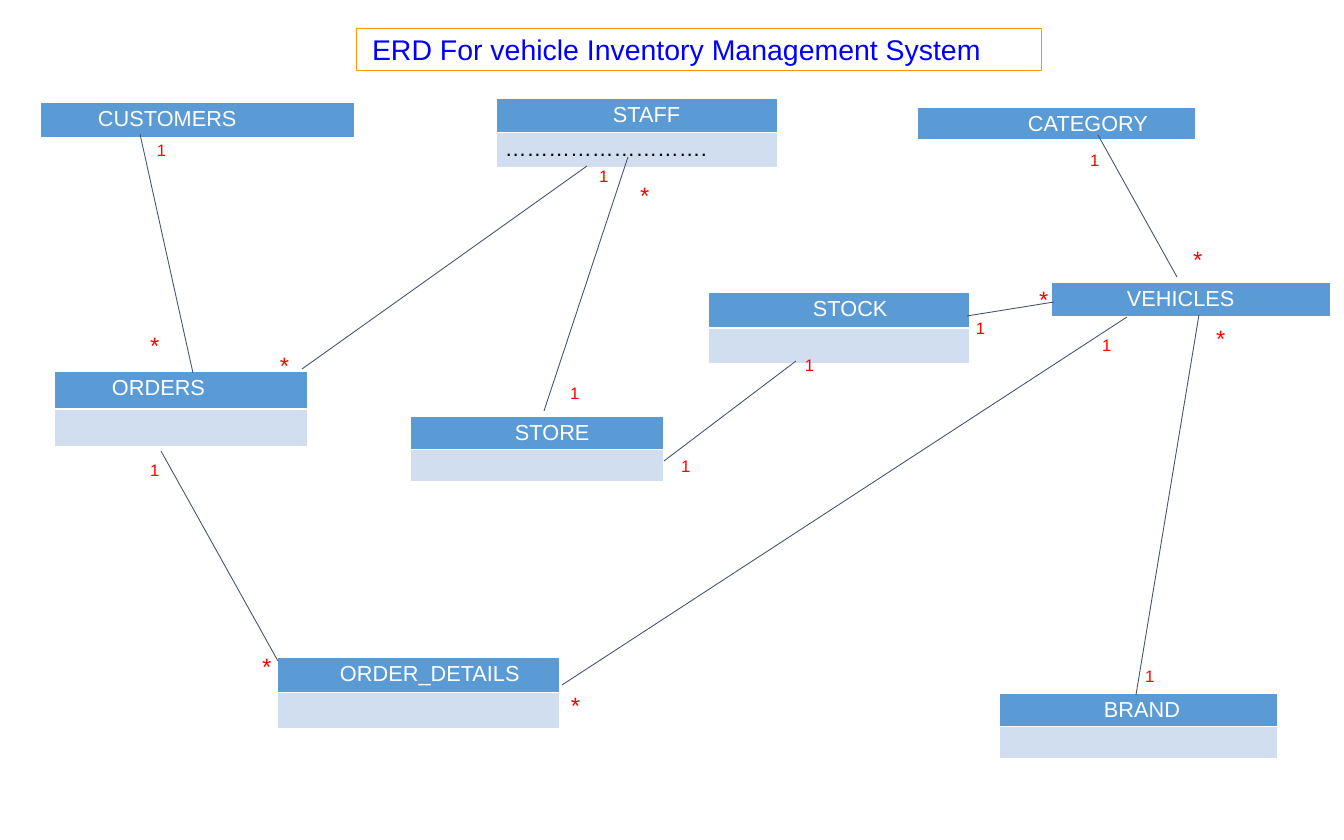
import pptx
import pptx.util
import pptx.dml.color
import pptx.enum.shapes
import pptx.enum.text
import lxml.etree

SCALE = 914400 * 3 / 256


def px(length):
    return pptx.util.Emu(round(length * SCALE))


def color(value):
    return pptx.dml.color.RGBColor.from_string(value)


presentation = pptx.Presentation()
presentation.slide_width = px(1344)
presentation.slide_height = px(840)
slide = presentation.slides.add_slide(presentation.slide_layouts[6])

entities = [
    (496, 98, (52, 119, 111), 35, 117, ["STAFF", "………………………."]),
    (41, 102, (51, 130, 133), 36, 57, ["CUSTOMERS"]),
    (410, 416, (59, 102, 93), 33, 105, ["STORE", ""]),
    (55, 371, (49, 119, 85), 38, 57, ["ORDERS", ""]),
    (277, 657, (55, 133, 95), 36, 63, ["ORDER_DETAILS", ""]),
    (1052, 282, (55, 131, 93), 34, 75, ["VEHICLES"]),
    (917, 107, (55, 131, 93), 33, 111, ["CATEGORY"]),
    (708, 292, (44, 103, 115), 36, 105, ["STOCK", ""]),
    (999, 693, (55, 131, 93), 33, 105, ["BRAND", ""]),
]
row_styles = [("5B9BD5", "FFFFFF"), ("D0DEEF", "000000")]

for left, top, widths, row_height, name_indent, texts in entities:
    table = slide.shapes.add_table(
        len(texts), 3, px(left), px(top), px(sum(widths)), px(row_height * len(texts))
    ).table
    for column, width in zip(table.columns, widths):
        column.width = px(width)
    for row, text in enumerate(texts):
        fill, text_color = row_styles[row]
        table.rows[row].height = px(row_height)
        cell = table.cell(row, 0)
        cell.merge(table.cell(row, 2))
        cell.fill.solid()
        cell.fill.fore_color.rgb = color(fill)
        cell.margin_left = px(name_indent if row == 0 else 9)
        cell.text = text
        font = cell.text_frame.paragraphs[0].font
        font.name = "Arial"
        font.size = pptx.util.Pt(18.3)
        font.bold = False
        font.color.rgb = color(text_color)

title = slide.shapes.add_shape(
    pptx.enum.shapes.MSO_SHAPE.RECTANGLE, px(356), px(28), px(685), px(43)
)
title.shadow.inherit = False
title.fill.background()
title.line.color.rgb = color("FF9900")
title.line.width = pptx.util.Pt(0.75)
title.text_frame.word_wrap = True
title.text_frame.margin_left = px(16)
title.text_frame.vertical_anchor = pptx.enum.text.MSO_ANCHOR.TOP
paragraph = title.text_frame.paragraphs[0]
paragraph.text = "ERD For vehicle Inventory Management System"
paragraph.alignment = pptx.enum.text.PP_ALIGN.LEFT
paragraph.font.name = "Arial"
paragraph.font.size = pptx.util.Pt(24)
paragraph.font.color.rgb = color("0000FF")

relations = [
    (562, 685, 1127, 317),
    (278, 661, 161, 451),
    (193, 373, 140, 134),
    (302, 369, 587, 166),
    (1136, 695, 1199, 315),
    (1177, 277, 1098, 135),
    (544, 411, 628, 157),
    (1054, 302, 967, 316),
    (664, 461, 796, 361),
]
for ends in relations:
    connector = slide.shapes.add_connector(
        pptx.enum.shapes.MSO_CONNECTOR.STRAIGHT, *map(px, ends)
    )
    connector.line.color.rgb = color("44546A")
    connector.line.width = pptx.util.Pt(0.75)
    properties = connector._element.spPr
    lxml.etree.SubElement(properties, pptx.oxml.ns.qn("a:effectLst"))

one_places = [
    (1093, 326), (141, 451), (148, 131), (590, 157), (1136, 657),
    (1081, 141), (561, 374), (967, 309), (672, 447), (796, 346),
]
many_places = [
    (562, 682), (253, 643), (141, 322), (271, 342),
    (1207, 315), (1184, 236), (631, 172), (1030, 276),
]
for text, size, height, places in [("1", 14, 38, one_places), ("*", 20, 46, many_places)]:
    for left, top in places:
        label = slide.shapes.add_textbox(px(left), px(top), px(38), px(height))
        frame = label.text_frame
        frame.word_wrap = True
        frame.margin_left = frame.margin_right = px(9)
        frame.margin_top = frame.margin_bottom = px(9)
        paragraph = frame.paragraphs[0]
        paragraph.text = text
        paragraph.font.name = "Arial"
        paragraph.font.size = pptx.util.Pt(size)
        paragraph.font.color.rgb = color("FF0000")

presentation.save("out.pptx")
